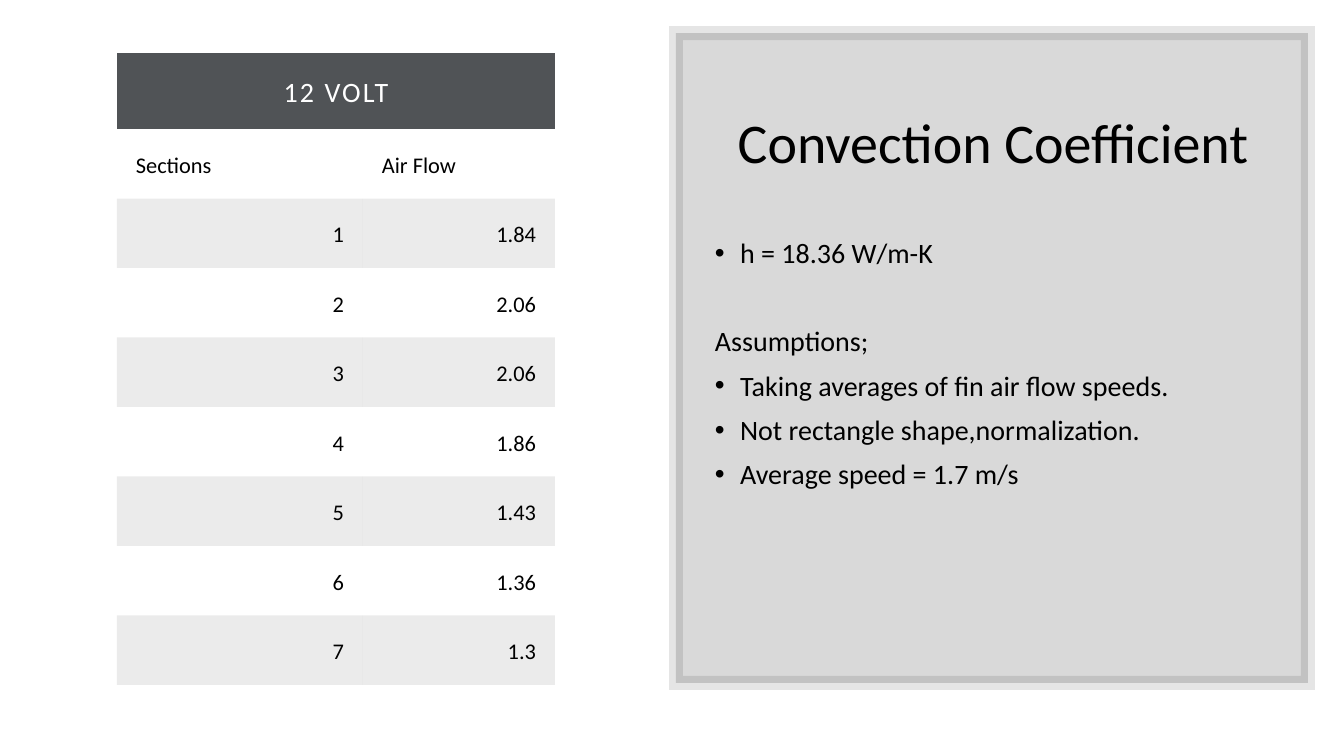
from typing import NamedTuple

from pptx import Presentation, util as u
from pptx.dml.color import RGBColor
from pptx.enum import shapes, text
from pptx.oxml import ns, xmlchemy as xc

SCALE = 914400 / 100.8
FONT = "Calibri"
BLACK = RGBColor(0x00, 0x00, 0x00)
WHITE = RGBColor(0xFF, 0xFF, 0xFF)
SLATE = RGBColor(0x50, 0x53, 0x56)
PLAIN = "{2D5ABB26-0587-4C30-8999-92F81FD0307C}"  # table style without grid
LEFT, MID, RIGHT = text.PP_ALIGN.LEFT, text.PP_ALIGN.CENTER, text.PP_ALIGN.RIGHT


class Box(NamedTuple):
    x: int
    y: int
    w: int
    h: int


class Note(NamedTuple):
    words: str
    mark: bool = True
    gap: float = 10


def px(n: float) -> int:
    return round(n * SCALE)


def place(box: Box) -> list[int]:
    return [px(n) for n in box]


def fade(node, share: int) -> None:
    """Make the colours under an XML node partly transparent."""
    for clr in node.iter(ns.qn("a:srgbClr")):
        alpha = xc.OxmlElement("a:alpha")
        alpha.set("val", str(share * 1000))
        clr.append(alpha)


def write(para, words: str, size: int, color: RGBColor = BLACK, align=LEFT):
    para.alignment = align
    run = para.add_run()
    run.text = words
    run.font.name = FONT
    run.font.size = u.Pt(size)
    run.font.color.rgb = color
    return run


def bullet(para) -> None:
    props = para._p.get_or_add_pPr()
    props.set("marL", str(u.Inches(0.25)))
    props.set("indent", str(-u.Inches(0.25)))
    font = xc.OxmlElement("a:buFont")
    font.set("typeface", "Arial")
    char = xc.OxmlElement("a:buChar")
    char.set("char", "•")
    props.extend([font, char])


def shade(cell, color: RGBColor | None, share: int = 100) -> None:
    if color is None:
        cell.fill.background()
        return
    cell.fill.solid()
    cell.fill.fore_color.rgb = color
    if share < 100:
        fade(cell._tc.tcPr, share)


def fit(cell) -> None:
    cell.margin_left = cell.margin_right = px(19)
    cell.margin_top = cell.margin_bottom = px(19)
    cell.vertical_anchor = text.MSO_ANCHOR.BOTTOM


deck = Presentation()
deck.slide_width, deck.slide_height = px(1344), px(756)
slide = deck.slides.add_slide(deck.slide_layouts[5])

# Grey panel with a see-through border
panel = slide.shapes.add_shape(
    shapes.MSO_SHAPE.RECTANGLE, *place(Box(676, 33, 632, 650)))
panel.shadow.inherit = False
panel.fill.solid()
panel.fill.fore_color.rgb = BLACK
fade(panel.fill._xPr.find(ns.qn("a:solidFill")), 15)
panel.line.color.rgb = BLACK
panel.line.width = u.Pt(10)
fade(panel.line._ln, 10)
edge = xc.OxmlElement("a:miter")
edge.set("lim", "800000")
panel.line._ln.append(edge)

# Title, brought in front of the panel
title = slide.shapes.title
panel._element.addnext(title._element)
title.left, title.top, title.width, title.height = place(Box(705, 71, 576, 148))
frame = title.text_frame
frame.auto_size = text.MSO_AUTO_SIZE.NONE
frame.vertical_anchor = text.MSO_ANCHOR.MIDDLE
frame.paragraphs[0].line_spacing = 0.9
write(frame.paragraphs[0], "Convection Coefficient", 40, align=MID)

# Result and assumptions
NOTES = [
    Note("h = 18.36 W/m-K"),
    Note("Assumptions;", mark=False, gap=41.7),
    Note("Taking averages of fin air flow speeds."),
    Note("Not rectangle shape,normalization."),
    Note("Average speed = 1.7 m/s"),
]
frame = slide.shapes.add_textbox(*place(Box(705, 234, 578, 416))).text_frame
frame.word_wrap = True
for i, note in enumerate(NOTES):
    para = frame.add_paragraph() if i else frame.paragraphs[0]
    para.line_spacing = 0.9
    para.space_before = u.Pt(note.gap)
    if note.mark:
        bullet(para)
    write(para, note.words, 20)

# Air flow table
FLOWS = ["1.84", "2.06", "2.06", "1.86", "1.43", "1.36", "1.3"]
ROWS = [("Sections", "Air Flow")]
ROWS += [(str(n), flow) for n, flow in enumerate(FLOWS, 1)]
holder = slide.shapes.add_table(
    len(ROWS) + 1, 2, *place(Box(117, 53, 438, 632)))
table = holder.table
table._tbl.tblPr.find(ns.qn("a:tableStyleId")).text = PLAIN
for col, wide in zip(table.columns, (246, 192)):
    col.width = px(wide)
table.rows[0].height = px(76)

head = table.cell(0, 0)
head.merge(table.cell(0, 1))
fit(head)
shade(head, SLATE)
run = write(head.text_frame.paragraphs[0], "12 VOLT", 20, WHITE, MID)
run.font._element.set("spc", "150")

for r, row in enumerate(ROWS, 1):
    table.rows[r].height = px(69.5)
    for c, words in enumerate(row):
        cell = table.cell(r, c)
        fit(cell)
        shade(cell, None if r % 2 else BLACK, 8)
        write(cell.text_frame.paragraphs[0], words, 16,
              align=LEFT if r == 1 else RIGHT)

deck.save("out.pptx")
